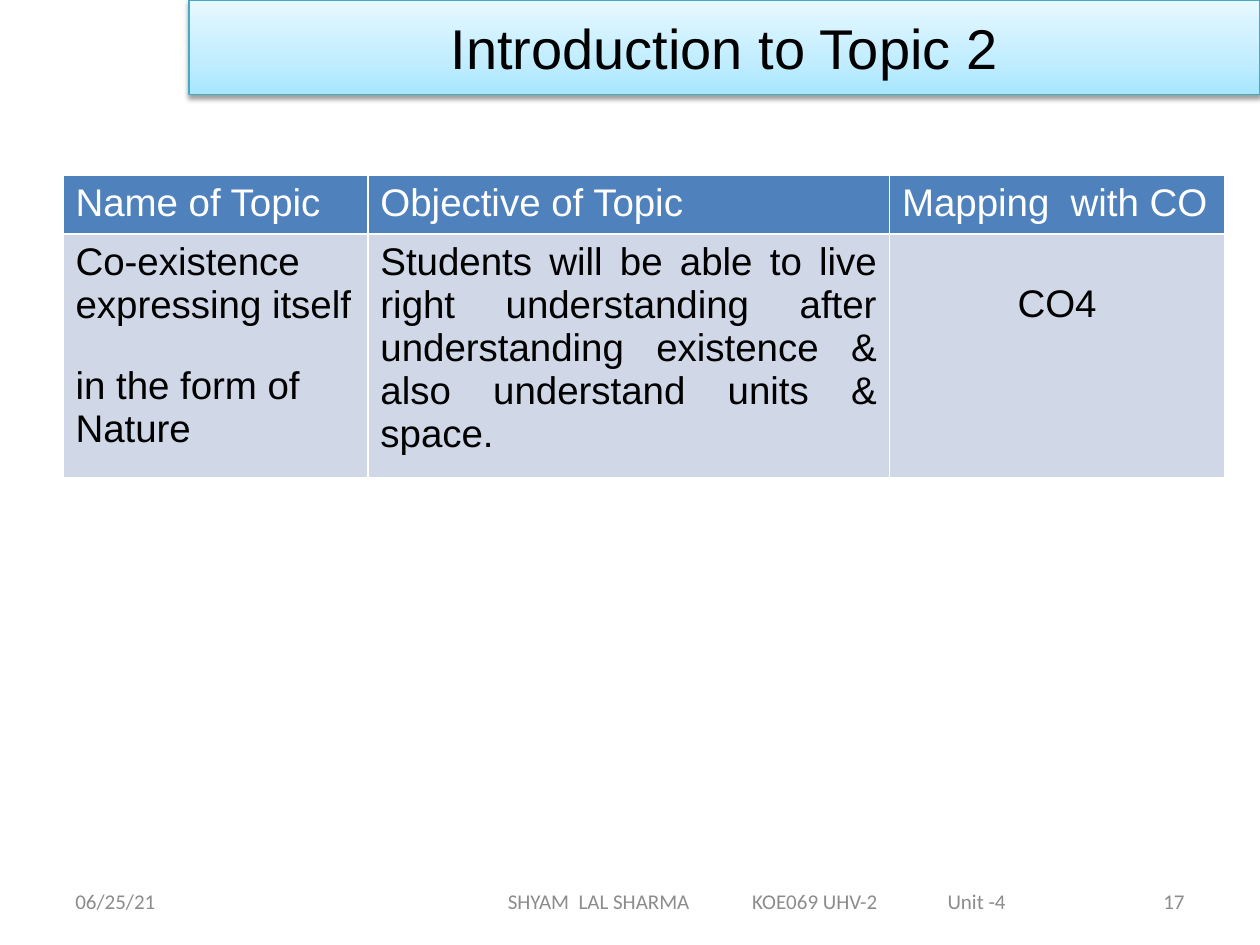
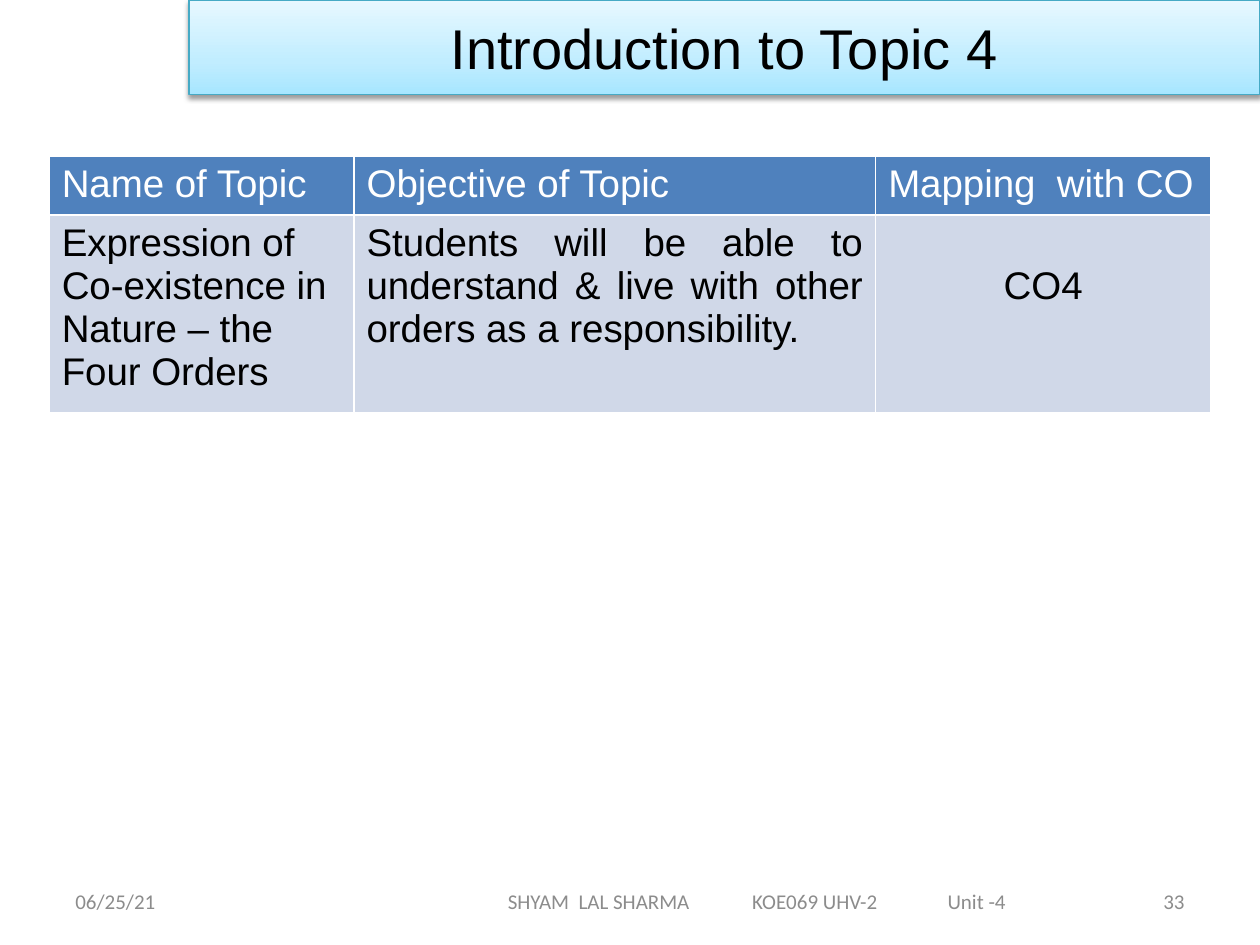
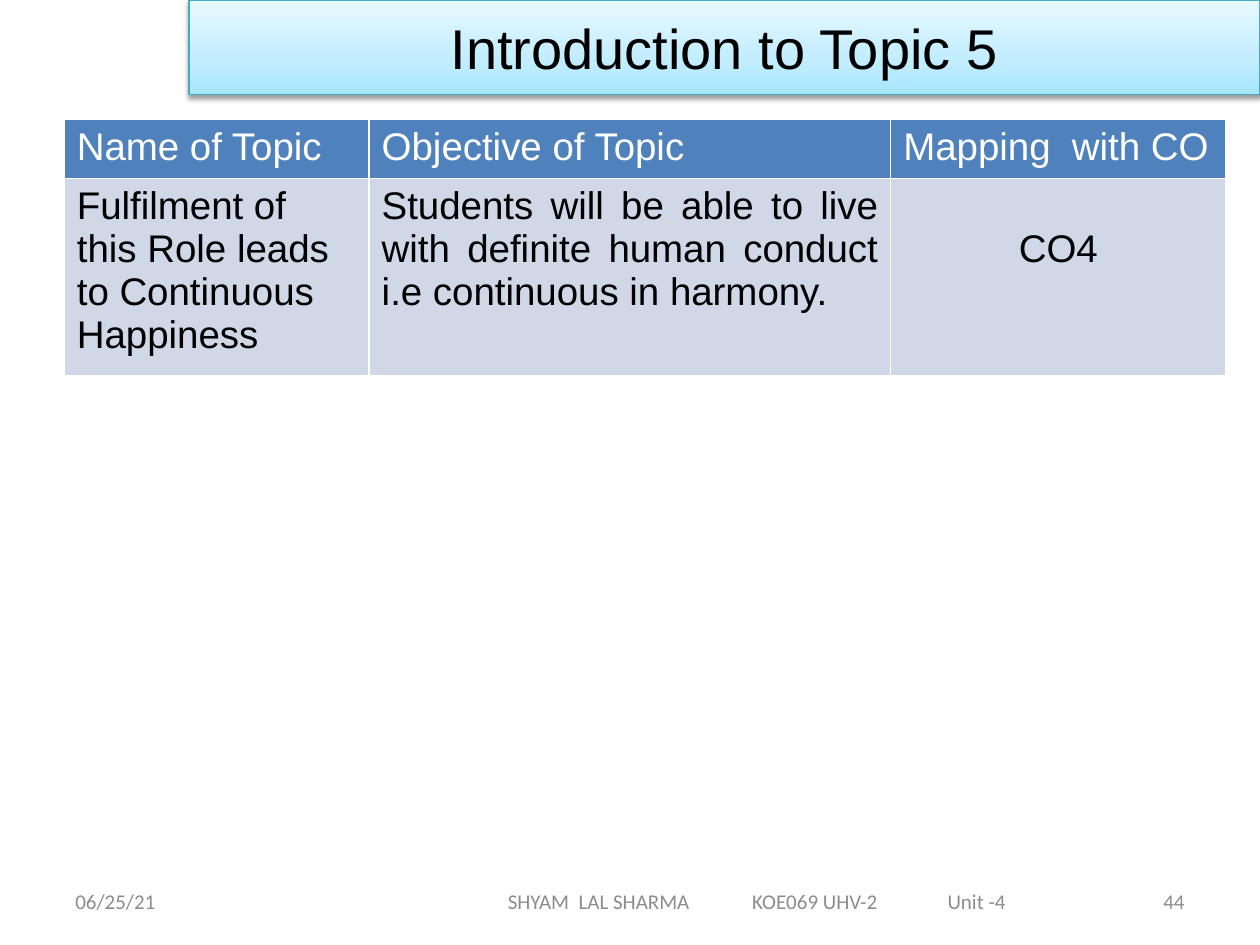
from lxml.etree import SubElement
from pptx import Presentation
from pptx.dml.color import RGBColor
from pptx.enum.shapes import MSO_SHAPE
from pptx.enum.text import MSO_ANCHOR, PP_ALIGN
from pptx.oxml import parse_xml
from pptx.oxml.ns import nsdecls, qn
from pptx.util import Inches, Pt

WIDTH, HEIGHT = 10, 7.5
MARGIN = 0.05 * WIDTH

BLACK, WHITE, GREY = "000000", "FFFFFF", "8C8C8C"
HEADER_FILL, BODY_FILL = "4F81BD", "D0D8E8"
BAND_LINE = "46AAC5"
BAND_STOPS = [(0, "A7E6FF"), (35, "C1EDFF"), (100, "E7F8FF")]

DATE = "06/25/21"
FOOTER = ["SHYAM  LAL SHARMA", "KOE069 UHV-2", "Unit -4"]
FOOTER_STARTS = [4.03, 5.97, 7.52]
HEADINGS = ["Name of Topic", "Objective of Topic", "Mapping  with CO"]
COLUMN_WIDTHS = [2.42, 4.14, 2.66]
ROW_HEIGHT = 0.41
TEXT_LINE = 0.34
ALIGNMENTS = [PP_ALIGN.LEFT, PP_ALIGN.JUSTIFY, PP_ALIGN.CENTER]

TOPICS = [
    {"number": 2, "page": 17, "place": (0.5, 1.39), "height": 2.77,
     "row": ["Co-existence expressing itself \nin the form of Nature",
             "Students will be able to live right understanding after "
             "understanding existence & also understand units & space. ",
             "CO4"]},
    {"number": 4, "page": 33, "place": (0.39, 1.24), "height": 2.4,
     "row": ["Expression of Co-existence in Nature – the Four Orders",
             "Students will be able to understand & live with other orders "
             "as a responsibility.",
             "CO4"]},
    {"number": 5, "page": 44, "place": (0.51, 0.95), "height": 2.4,
     "row": ["Fulfilment of this Role leads to Continuous Happiness",
             "Students will be able to live with definite human conduct "
             "i.e continuous in harmony.",
             "CO4"]},
]


def color(value):
    """Turn a hex string into a colour."""
    return RGBColor.from_string(value)


def write(text_frame, text, size, font, ink, alignment=PP_ALIGN.LEFT):
    """Put one formatted paragraph in a text frame and return it."""
    paragraph = text_frame.paragraphs[0]
    paragraph.text = text
    paragraph.alignment = alignment
    for run in paragraph.runs:
        run.font.size = Pt(size)
        run.font.name = font
        run.font.bold = False
        run.font.color.rgb = color(ink)
    return paragraph


def add_band(slide, title):
    """Draw the gradient title band with its soft shadow."""
    left = 0.15 * WIDTH
    band = slide.shapes.add_shape(
        MSO_SHAPE.RECTANGLE, Inches(left), 0,
        Inches(WIDTH - left), Inches(0.1 * HEIGHT))
    band.line.color.rgb = color(BAND_LINE)
    band.line.width = Pt(0.75)
    band.fill.gradient()
    properties = band.fill._xPr
    stops = "".join(
        f'<a:gs pos="{share * 1000}"><a:srgbClr val="{value}"/></a:gs>'
        for share, value in BAND_STOPS)
    properties.replace(properties.find(qn("a:gradFill")), parse_xml(
        f'<a:gradFill {nsdecls("a")} rotWithShape="1"><a:gsLst>{stops}</a:gsLst>'
        '<a:lin ang="16200000" scaled="0"/></a:gradFill>'))
    properties.append(parse_xml(
        f'<a:effectLst {nsdecls("a")}><a:outerShdw blurRad="{Pt(3.1)}" '
        f'dist="{Pt(1.6)}" dir="5400000" rotWithShape="0">'
        f'<a:srgbClr val="{BLACK}"><a:alpha val="38000"/></a:srgbClr>'
        '</a:outerShdw></a:effectLst>'))
    band.text_frame.vertical_anchor = MSO_ANCHOR.MIDDLE
    write(band.text_frame, title, 32, "Arial", BLACK, PP_ALIGN.CENTER)


def add_footer_text(slide, text, left, width, alignment=PP_ALIGN.LEFT):
    """Add one text box on the footer line."""
    box = slide.shapes.add_textbox(
        Inches(left), Inches(6.95), Inches(width), Inches(0.4))
    box.text_frame.word_wrap = True
    box.text_frame.vertical_anchor = MSO_ANCHOR.MIDDLE
    write(box.text_frame, text, 12, "Calibri", GREY, alignment)
    return box


def add_footer(slide, page):
    """Add the date, the page number and the tabbed course line."""
    side = 2.33
    add_footer_text(slide, DATE, MARGIN, side)
    add_footer_text(slide, str(page), WIDTH - MARGIN - side, side, PP_ALIGN.RIGHT)
    left = 3.12
    course = add_footer_text(slide, "\t".join(FOOTER), left, 5.78)
    first, *others = FOOTER_STARTS
    course.text_frame.margin_left = Inches(first - left)
    properties = course.text_frame.paragraphs[0]._p.get_or_add_pPr()
    tabs = SubElement(properties, qn("a:tabLst"))
    for start in others:
        SubElement(tabs, qn("a:tab"), pos=str(Inches(start - first)), algn="l")


def style_cell(cell, fill):
    """Fill a cell and give it thin white borders."""
    cell.fill.solid()
    cell.fill.fore_color.rgb = color(fill)
    properties = cell._tc.get_or_add_tcPr()
    for index, side in enumerate("LRTB"):
        properties.insert(index, parse_xml(
            f'<a:ln{side} {nsdecls("a")} w="{Pt(1)}"><a:solidFill>'
            f'<a:srgbClr val="{WHITE}"/></a:solidFill></a:ln{side}>'))


def add_topic_table(slide, topic):
    """Add the table of topic, objective and course outcome."""
    left, top = topic["place"]
    frame = slide.shapes.add_table(
        2, len(HEADINGS), Inches(left), Inches(top),
        Inches(sum(COLUMN_WIDTHS)), Inches(2 * ROW_HEIGHT))
    table = frame.table
    for column, width in zip(table.columns, COLUMN_WIDTHS):
        column.width = Inches(width)
    for index, (heading, text) in enumerate(zip(HEADINGS, topic["row"])):
        header, body = table.cell(0, index), table.cell(1, index)
        style_cell(header, HEADER_FILL)
        style_cell(body, BODY_FILL)
        write(header.text_frame, heading, 22, "Arial", WHITE)
        write(body.text_frame, text, 22, "Arial", BLACK, ALIGNMENTS[index])
    table.cell(1, 2).margin_top = Inches(0.05 + TEXT_LINE)
    frame.height = Inches(topic["height"])


def build():
    """Build one slide for each topic and save the presentation."""
    presentation = Presentation()
    presentation.slide_width = Inches(WIDTH)
    presentation.slide_height = Inches(HEIGHT)
    for topic in TOPICS:
        slide = presentation.slides.add_slide(presentation.slide_layouts[6])
        add_band(slide, f"Introduction to Topic {topic['number']}")
        add_footer(slide, topic["page"])
        add_topic_table(slide, topic)
    presentation.save("out.pptx")


build()
